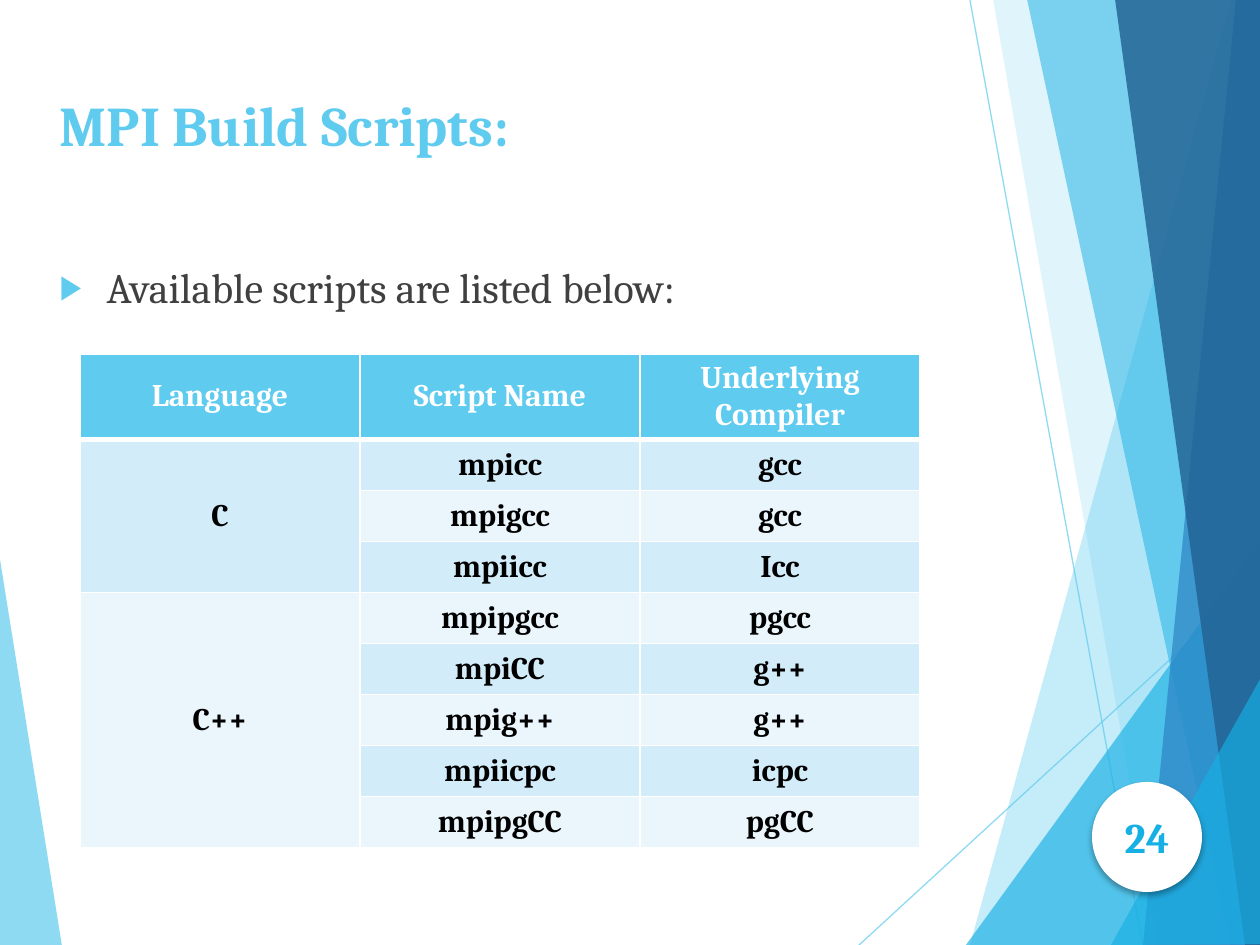
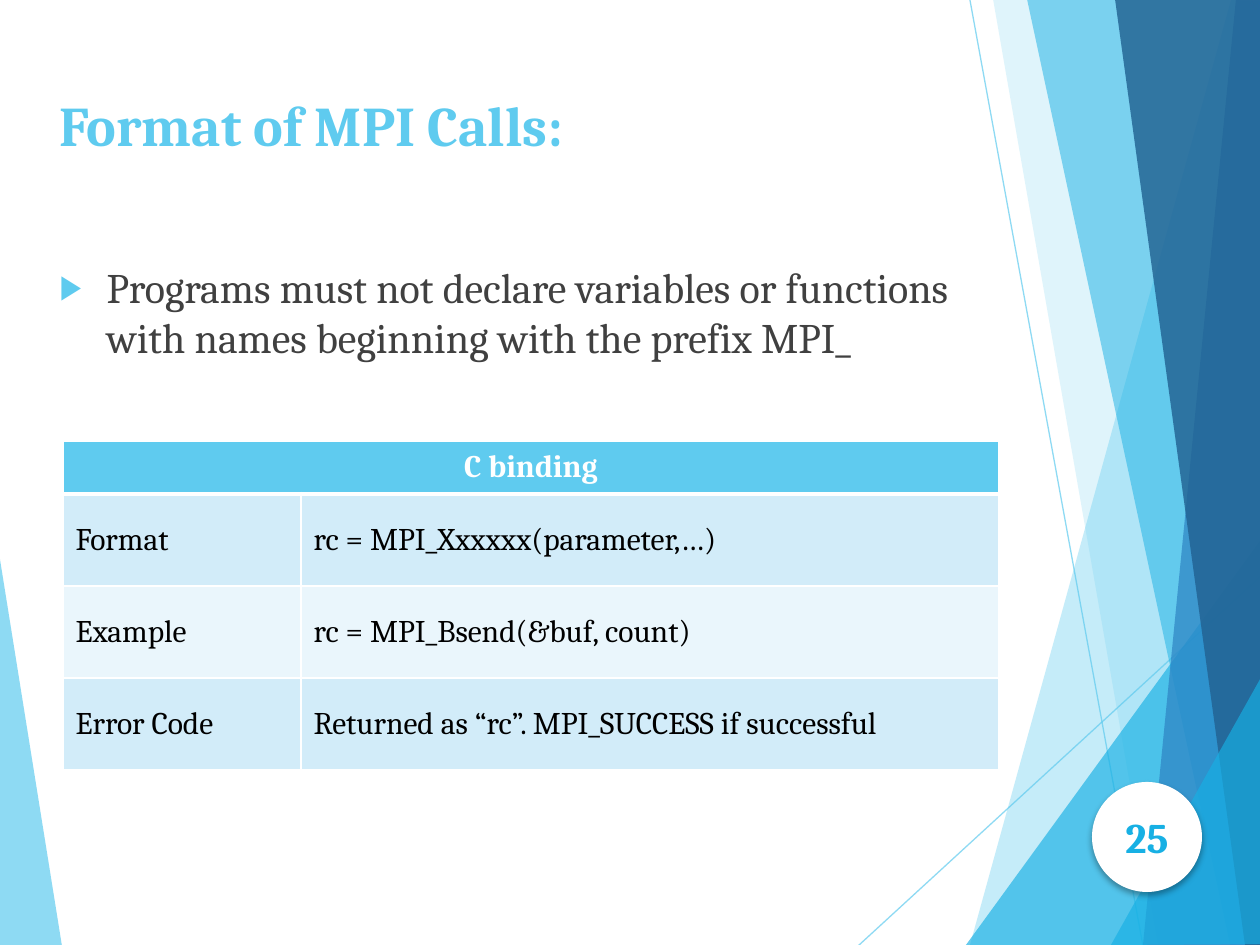
from lxml import etree
from pptx import Presentation
from pptx import util as u
from pptx.dml.color import RGBColor
from pptx.enum import shapes, text
from pptx.oxml.ns import qn

FONT = "Cambria"
C = dict(sky="5FCBEF", cyan="17B0E4", blue="2E83C3", navy="226292", white="FFFFFF",
         black="000000", gray="404040", band="D2ECF9", pale="EAF6FC")
SCALE = 914400 / 126  # EMU per pixel

# Content; None continues a merged cell
SLIDES = [
    dict(number=24, title="MPI Build Scripts:",
         body="Available scripts are listed below:",
         at=(80, 354), cols=[280, 280, 280], rows=[51] * 9, centred=True,
         merges=[((1, 0), (3, 0)), ((4, 0), (8, 0))],
         cells=[("Language", "Script Name", "Underlying Compiler"),
                ("C", "mpicc", "gcc"),
                (None, "mpigcc", "gcc"),
                (None, "mpiicc", "Icc"),
                ("C++", "mpipgcc", "pgcc"),
                (None, "mpiCC", "g++"),
                (None, "mpig++", "g++"),
                (None, "mpiicpc", "icpc"),
                (None, "mpipgCC", "pgCC")]),
    dict(number=25, title="Format of MPI Calls:",
         body="Programs must not declare variables or functions with names "
              "beginning with the prefix MPI_",
         at=(63, 441), cols=[238, 698], rows=[53, 92, 92, 92], centred=False,
         merges=[((0, 0), (0, 1))],
         cells=[("C binding", None),
                ("Format", "rc = MPI_Xxxxxx(parameter,…)"),
                ("Example", "rc = MPI_Bsend(&buf, count)"),
                ("Error Code", "Returned as “rc”. MPI_SUCCESS if successful")]),
]

# Backdrop: colour, opacity in percent, outline
RAYS = [("sky", 70, [(858, 946), (1261, 576)]), ("sky", 70, [(970, 0), (1143, 946)])]
FACETS = [
    ("sky", 70, [(-1, 553), (62, 946), (-1, 945)]),
    ("sky", 36, [(1231, 0), (970, 945), (1263, 946), (1261, 1)]),
    ("sky", 20, [(993, -1), (1158, 945), (1261, 945), (1261, -1)]),
    ("cyan", 66, [(966, 945), (1260, 541), (1261, 945)]),
    ("cyan", 50, [(1027, -1), (1230, 945), (1261, 944), (1261, -1)]),
    ("blue", 70, [(1236, -1), (1143, 945), (1261, 945), (1260, -1)]),
    ("navy", 82, [(1115, -1), (1245, 945), (1263, 945), (1260, -1)]),
    ("cyan", 66, [(1111, 945), (1263, 674), (1263, 944)]),
]


def px(n):
    return u.Emu(round(n * SCALE))


def rgb(name):
    return RGBColor.from_string(C[name])


def add(parent, tag, **attributes):
    node = etree.SubElement(parent, qn(tag))
    for key, value in attributes.items():
        node.set(key, str(value))
    return node


def write(frame, words, size=18, color="black", bold=False, align=text.PP_ALIGN.LEFT,
          anchor=text.MSO_ANCHOR.TOP):
    frame.word_wrap = True
    frame.auto_size = text.MSO_AUTO_SIZE.NONE
    frame.vertical_anchor = anchor
    paragraph = frame.paragraphs[0]
    paragraph.alignment = align
    run = paragraph.add_run()
    run.text = words
    run.font.name, run.font.size, run.font.bold = FONT, u.Pt(size), bold
    run.font.color.rgb = rgb(color)
    return paragraph


def set_opacity(part, percent):
    for color in part.element.spPr.iter(qn("a:srgbClr")):
        add(color, "a:alpha", val=percent * 1000)


def build_backdrop(slide, layout):
    """Draw the facets and rays, then move them behind the layout's placeholders."""
    parts = []
    for color, opacity, outline in FACETS:
        builder = slide.shapes.build_freeform(*outline[0], scale=SCALE)
        builder.add_line_segments(outline[1:], close=True)
        facet = builder.convert_to_shape()
        facet.shadow.inherit = False
        facet.fill.solid()
        facet.fill.fore_color.rgb = rgb(color)
        facet.line.fill.background()
        set_opacity(facet, opacity)
        parts.append(facet)
    rays = []
    for color, opacity, (start, end) in RAYS:
        ray = slide.shapes.add_connector(shapes.MSO_CONNECTOR.STRAIGHT,
                                         *map(px, start + end))
        ray.line.color.rgb = rgb(color)
        ray.line.width = u.Pt(0.75)
        add(ray.element.spPr, "a:effectLst")
        set_opacity(ray, opacity)
        rays.append(ray)
    parts[1:1] = rays  # rays lie just above the left facet
    for i, part in enumerate(parts):
        part.element.xpath(".//p:cNvPr")[0].set("id", str(20 + i))
        layout.shapes.element.insert(2 + i, part.element)


def add_badge(slide, number):
    badge = slide.shapes.add_shape(shapes.MSO_SHAPE.OVAL, px(1092), px(782), px(110), px(110))
    badge.shadow.inherit = False
    badge.fill.solid()
    badge.fill.fore_color.rgb = rgb("white")
    badge.line.fill.background()
    shadow = add(badge.element.spPr.find(qn("a:effectLst")), "a:outerShdw", blurRad=u.Pt(3.5),
                 dist=u.Pt(2.2), dir=90 * 60000, rotWithShape=0)
    add(add(shadow, "a:srgbClr", val=C["black"]), "a:alpha", val=32000)
    write(badge.text_frame, str(number), size=24, color="cyan", bold=True,
          align=text.PP_ALIGN.CENTER, anchor=text.MSO_ANCHOR.MIDDLE)


def add_bullet(paragraph):
    paragraph.space_before = u.Pt(10)
    props = paragraph._p.get_or_add_pPr()
    props.set("marL", str(px(47)))
    props.set("indent", str(-px(47)))
    add(add(props, "a:buClr"), "a:srgbClr", val=C["sky"])
    add(props, "a:buSzPct", val=80000)
    add(props, "a:buChar", char="▶")


def set_borders(cell, row):
    # The rule under the header is thicker
    widths = dict(L=1, R=1, T=3 if row == 1 else 1, B=3 if row == 0 else 1)
    for side, width in widths.items():
        line = add(cell._tc.get_or_add_tcPr(), f"a:ln{side}", w=u.Pt(width))
        add(add(line, "a:solidFill"), "a:srgbClr", val=C["white"])


def add_grid(slide, page):
    cols, rows = page["cols"], page["rows"]
    grid = slide.shapes.add_table(len(rows), len(cols), *map(px, page["at"]),
                                  px(sum(cols)), px(sum(rows))).table
    for column, width in zip(grid.columns, cols):
        column.width = px(width)
    for row, height in zip(grid.rows, rows):
        row.height = px(height)
    for r, entries in enumerate(page["cells"]):
        header = r == 0
        centred = header or page["centred"]
        for c, words in enumerate(entries):
            cell = grid.cell(r, c)
            set_borders(cell, r)
            cell.fill.solid()
            cell.fill.fore_color.rgb = rgb("sky" if header else "band" if r % 2 else "pale")
            cell.vertical_anchor = text.MSO_ANCHOR.MIDDLE
            if words:
                paragraph = cell.text_frame.paragraphs[0]
                paragraph.alignment = text.PP_ALIGN.CENTER if centred else text.PP_ALIGN.LEFT
                run = paragraph.add_run()
                run.text = words
                run.font.name, run.font.size, run.font.bold = FONT, u.Pt(18), centred
                run.font.color.rgb = rgb("white" if header else "black")
    for first, last in page["merges"]:
        grid.cell(*first).merge(grid.cell(*last))


prs = Presentation()
prs.slide_width, prs.slide_height = px(1260), px(945)
layout = prs.slide_layouts[1]

# Shared places of title and body
for placeholder, box in zip(layout.placeholders, [(47, 84, 941, 150), (47, 255, 941, 655)]):
    placeholder.left, placeholder.top, placeholder.width, placeholder.height = map(px, box)

for page in SLIDES:
    slide = prs.slides.add_slide(layout)
    if page is SLIDES[0]:
        build_backdrop(slide, layout)
    title, body = slide.placeholders
    write(title.text_frame, page["title"], size=32, color="sky", bold=True)
    add_bullet(write(body.text_frame, page["body"], size=24, color="gray"))
    add_grid(slide, page)
    add_badge(slide, page["number"])

prs.save("out.pptx")
